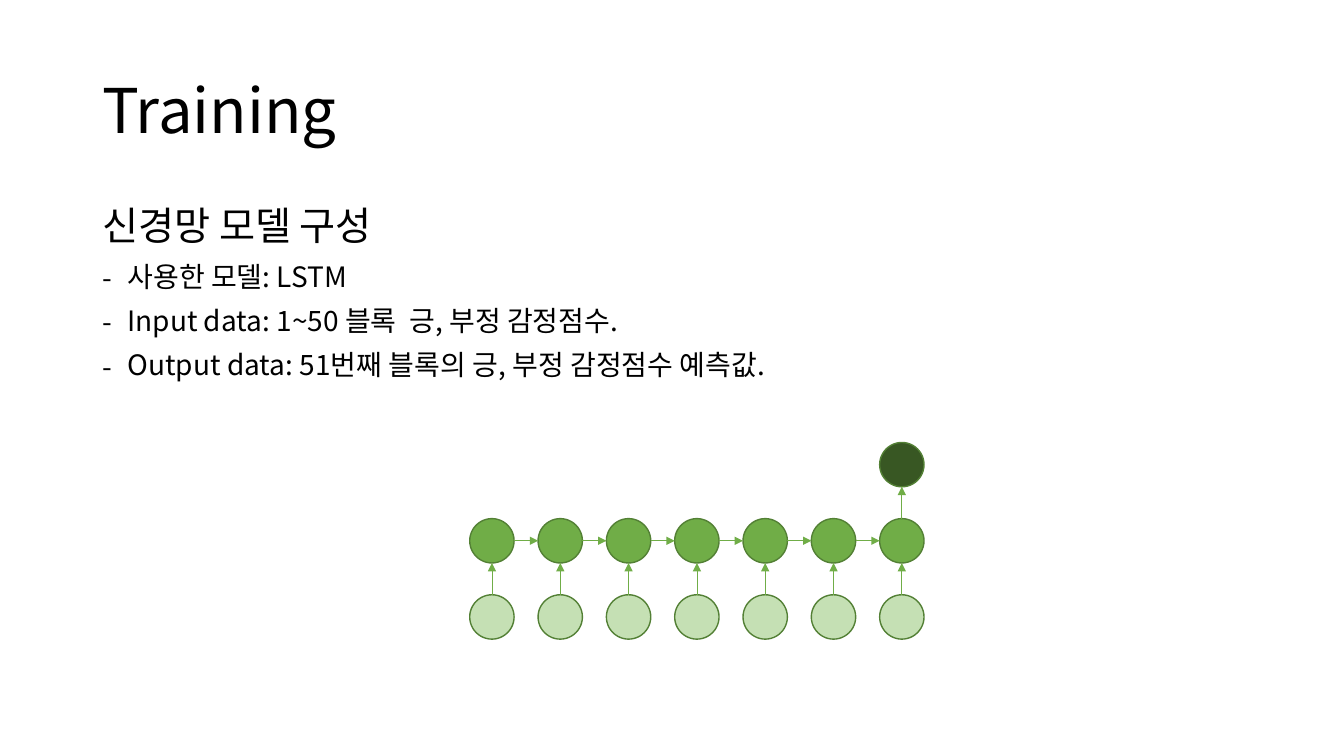
"""Build the Training slide with its unrolled LSTM diagram."""
from dataclasses import dataclass

from lxml import etree
from pptx import Presentation
from pptx import util as u
from pptx.dml import color
from pptx.enum import shapes, text
from pptx.oxml import ns

FONT = "Noto Sans CJK KR"
COLOURS = {
    "text": "000000",
    "input": "C5E0B4",
    "hidden": "70AD47",
    "output": "385723",
    "outline": "538035",
    "arrow": "70AD47",
}
STEPS = 7
DIAMETER = 31.7
RADIUS = DIAMETER / 2
FIRST_X = 351.4
STEP_X = 48.8
OUTPUT_Y = 331.9
STEP_Y = 54.4
HIDDEN_Y = OUTPUT_Y + STEP_Y
INPUT_Y = HIDDEN_Y + STEP_Y


@dataclass(frozen=True)
class Line:
    words: str
    size: float
    dashed: bool = False


@dataclass(frozen=True)
class Node:
    x: float
    y: float
    colour: str


def rgb(name: str) -> color.RGBColor:
    return color.RGBColor.from_string(COLOURS[name])


def add_text(page, top: float, height: float, anchor, before: float, lines: list[Line]) -> None:
    box = page.shapes.add_textbox(u.Pt(66), u.Pt(top), u.Pt(828), u.Pt(height))
    frame = box.text_frame
    frame.word_wrap = True
    frame.vertical_anchor = anchor
    frame.text = "\n".join(line.words for line in lines)
    for para, line in zip(frame.paragraphs, lines):
        para.line_spacing = 0.9
        para.space_before = u.Pt(before)
        for span in para.runs:
            span.font.name = FONT
            span.font.size = u.Pt(line.size)
            span.font.color.rgb = rgb("text")
    for props in box.element.iter(ns.qn("a:rPr")):
        etree.SubElement(props, ns.qn("a:ea"), typeface=FONT)
    for props, line in zip(box.element.iter(ns.qn("a:pPr")), lines):
        if line.dashed:
            props.set("marL", str(u.Pt(18)))
            props.set("indent", str(-u.Pt(18)))
            etree.SubElement(props, ns.qn("a:buFont"), typeface=FONT)
            etree.SubElement(props, ns.qn("a:buChar"), char="-")


def add_node(page, node: Node) -> None:
    circle = page.shapes.add_shape(
        shapes.MSO_SHAPE.OVAL,
        u.Pt(node.x - RADIUS), u.Pt(node.y - RADIUS), u.Pt(DIAMETER), u.Pt(DIAMETER),
    )
    circle.shadow.inherit = False
    circle.fill.solid()
    circle.fill.fore_color.rgb = rgb(node.colour)
    circle.line.color.rgb = rgb("outline")
    circle.line.width = u.Pt(1)


def add_arrow(page, start: Node, end: Node) -> None:
    across = RADIUS if end.x > start.x else 0
    up = 0 if across else RADIUS
    arrow = page.shapes.add_connector(
        shapes.MSO_CONNECTOR.STRAIGHT,
        u.Pt(start.x + across), u.Pt(start.y - up), u.Pt(end.x - across), u.Pt(end.y + up),
    )
    arrow.line.color.rgb = rgb("arrow")
    arrow.line.width = u.Pt(0.5)
    etree.SubElement(arrow.line._get_or_add_ln(), ns.qn("a:tailEnd"), type="triangle")
    etree.SubElement(arrow.element.spPr, ns.qn("a:effectLst"))


deck = Presentation()
deck.slide_width, deck.slide_height = u.Pt(960), u.Pt(540)
page = deck.slides.add_slide(deck.slide_layouts[6])

add_text(page, 28.8, 104.4, text.MSO_ANCHOR.MIDDLE, 0, [Line("Training", 44)])
add_text(page, 144, 342.7, text.MSO_ANCHOR.TOP, 10, [
    Line("신경망 모델 구성", 28),
    Line("사용한 모델: LSTM", 20, dashed=True),
    Line("Input data: 1~50 블록  긍, 부정 감정점수.", 20, dashed=True),
    Line("Output data: 51번째 블록의 긍, 부정 감정점수 예측값.", 20, dashed=True),
])

columns = [FIRST_X + step * STEP_X for step in range(STEPS)]
hidden = [Node(x, HIDDEN_Y, "hidden") for x in columns]
inputs = [Node(x, INPUT_Y, "input") for x in columns]
output = Node(columns[-1], OUTPUT_Y, "output")

for node in [*hidden, *inputs, output]:
    add_node(page, node)
for start, end in [*zip(inputs, hidden), (hidden[-1], output), *zip(hidden, hidden[1:])]:
    add_arrow(page, start, end)

deck.save("out.pptx")
